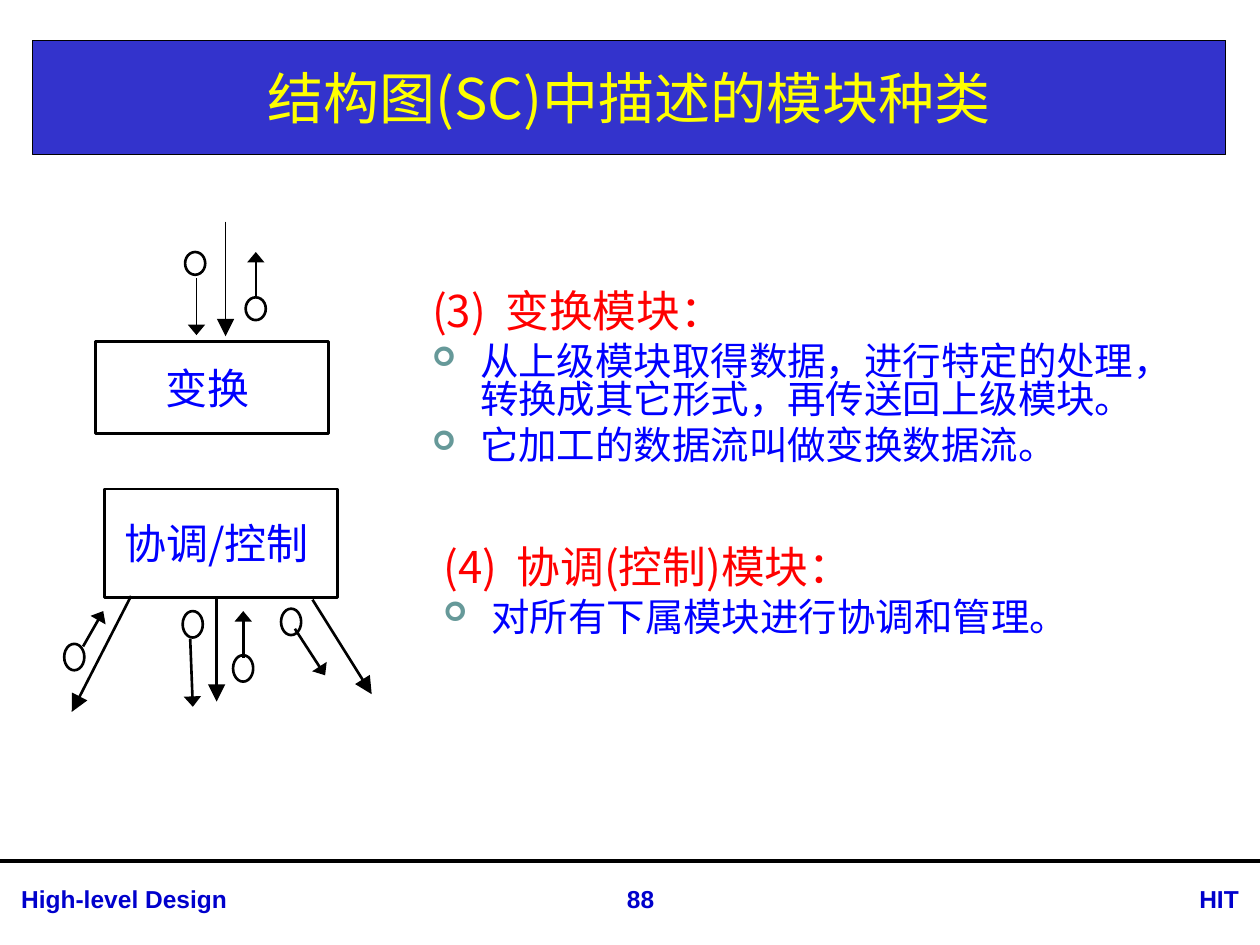
from lxml.etree import SubElement
from pptx import Presentation
from pptx.dml.color import RGBColor
from pptx.enum.shapes import MSO_CONNECTOR, MSO_SHAPE
from pptx.enum.text import MSO_ANCHOR, MSO_AUTO_SIZE, PP_ALIGN
from pptx.oxml.ns import qn
from pptx.util import Pt

CJK_FONT = "Noto Sans CJK SC"
BLACK, BLUE, RED, YELLOW = "000000", "0000FF", "FF0000", "FFFF00"
BAND_BLUE, FOOTER_BLUE, BULLET_GREEN = "3333CC", "0000CC", "669999"

TITLE = "结构图(SC)中描述的模块种类"
# Placeholder index, box, heading, bullets
LISTS = [
    (1, (212.4, 160.6, 458.6, 128.2), "(3)  变换模块：",
     ["从上级模块取得数据，进行特定的处理，转换成其它形式，再传送回上级模块。",
      "它加工的数据流叫做变换数据流。"]),
    (2, (218.9, 306.7, 473.8, 124.6), "(4)  协调(控制)模块：",
     ["对所有下属模块进行协调和管理。"]),
]
# Left, width, text, alignment
FOOTERS = [
    (5, 277.2, "High-level Design", PP_ALIGN.LEFT),
    (640.8, 74.2, "HIT", PP_ALIGN.RIGHT),
    (329, 74.2, "88", PP_ALIGN.CENTER),
]
# Each module: label, box, circle height, circle corners, call arrows and
# data arrows (from x, from y, to x, to y), width of the arrow lines
MODULES = [
    {"label": "变换 ", "box": (54.7, 195.1, 133.2, 52.6), "circle_height": 13,
     "circles": [(105.8, 144), (140.4, 169.9)],
     "calls": [(128.9, 126.7, 128.9, 192.2)],
     "data": [(146.2, 169.9, 146.2, 144), (112.3, 159.1, 112.3, 191.5)],
     "line_width": 1},
    {"label": "协调/控制 ", "box": (59.8, 279.4, 133.2, 61.9), "circle_height": 15.1,
     "circles": [(36.7, 367.9), (104.4, 349.2), (133.2, 374.4), (160.6, 347.8)],
     "calls": [(74.9, 340.6, 41, 406.8), (123.8, 340.6, 123.8, 401),
               (178.6, 342.7, 212.4, 396.7)],
     "data": [(47.5, 369.4, 59, 349.2), (108.7, 365, 110.2, 403.9),
              (139, 375.8, 139, 349.2), (168.5, 359.3, 185.8, 385.9)],
     "line_width": 1.5},
]
CIRCLE_WIDTH = 11.5


def color(hex_string):
    return RGBColor.from_string(hex_string)


def points(*values):
    return [Pt(value) for value in values]


def format_text(paragraph, size, hex_string, font_name=CJK_FONT, bold=False):
    for run in paragraph.runs:
        run.font.size = Pt(size)
        run.font.name = font_name
        run.font.bold = bold
        run.font.color.rgb = color(hex_string)
        if font_name == CJK_FONT:
            SubElement(run.font._element, qn("a:ea"), typeface=font_name)


def add_line(slide, ends, width, head_length=None):
    """Draw a black line, with a wide arrowhead if a head length is given."""
    line = slide.shapes.add_connector(MSO_CONNECTOR.STRAIGHT, *points(*ends))
    line.line.color.rgb = color(BLACK)
    line.line.width = Pt(width)
    if head_length:
        SubElement(line.line._get_or_add_ln(), qn("a:tailEnd"),
                   type="triangle", w="lg", len=head_length)
    SubElement(line._element.spPr, qn("a:effectLst"))


def add_outline(slide, kind, box):
    shape = slide.shapes.add_shape(kind, *points(*box))
    shape.shadow.inherit = False
    shape.fill.background()
    shape.line.color.rgb = color(BLACK)
    shape.line.width = Pt(1.5)
    return shape


def place(shape, box):
    shape.left, shape.top, shape.width, shape.height = points(*box)


def set_bullet(paragraph, character=None):
    """Set the hanging indent, with a bullet if a character is given."""
    properties = paragraph._p.get_or_add_pPr()
    properties.set("marL", str(Pt(54.7)))
    properties.set("indent", str(Pt(-27.4)))
    if character:
        bullet_color = SubElement(properties, qn("a:buClr"))
        SubElement(bullet_color, qn("a:srgbClr"), val=BULLET_GREEN)
        SubElement(properties, qn("a:buSzPct"), val="70000")
        SubElement(properties, qn("a:buFont"), typeface="Wingdings")
        SubElement(properties, qn("a:buChar"), char=character)
    else:
        SubElement(properties, qn("a:buNone"))


def fill_title(title):
    place(title, (18.7, 23, 681.8, 65.5))
    title.fill.solid()
    title.fill.fore_color.rgb = color(BAND_BLUE)
    title.line.color.rgb = color(BLACK)
    title.line.width = Pt(0.75)
    frame = title.text_frame
    frame.text = TITLE
    frame.auto_size = MSO_AUTO_SIZE.NONE
    frame.vertical_anchor = MSO_ANCHOR.MIDDLE
    frame.paragraphs[0].alignment = PP_ALIGN.CENTER
    format_text(frame.paragraphs[0], 32, YELLOW)


def fill_list(placeholder, box, heading, bullets):
    place(placeholder, box)
    frame = placeholder.text_frame
    frame.text = "\n".join([heading] + bullets)
    frame.auto_size = MSO_AUTO_SIZE.NONE
    frame.margin_top = Pt(7)
    for number, paragraph in enumerate(frame.paragraphs):
        paragraph.line_spacing = 0.82
        paragraph.space_before = Pt(5 if number else 0)
        set_bullet(paragraph, "➢" if number else None)
        format_text(paragraph, *((22, BLUE) if number else (25, RED)))


def add_module(slide, module):
    box = add_outline(slide, MSO_SHAPE.RECTANGLE, module["box"])
    frame = box.text_frame
    frame.text = module["label"]
    frame.word_wrap = False
    frame.vertical_anchor = MSO_ANCHOR.MIDDLE
    frame.paragraphs[0].alignment = PP_ALIGN.CENTER
    format_text(frame.paragraphs[0], 24, BLUE)
    for left, top in module["circles"]:
        add_outline(slide, MSO_SHAPE.OVAL,
                    (left, top, CIRCLE_WIDTH, module["circle_height"]))
    for ends in module["calls"]:
        add_line(slide, ends, module["line_width"], "lg")
    for ends in module["data"]:
        add_line(slide, ends, module["line_width"], "med")


def add_footer(slide, left, width, text, alignment):
    box = slide.shapes.add_textbox(*points(left, 501.8, width, 24.5))
    frame = box.text_frame
    frame.text = text
    frame.word_wrap = True
    frame.paragraphs[0].alignment = alignment
    format_text(frame.paragraphs[0], 14, FOOTER_BLUE, "Arial", bold=True)


def main():
    presentation = Presentation()
    presentation.slide_width, presentation.slide_height = points(720, 540)
    slide = presentation.slides.add_slide(presentation.slide_layouts[3])
    fill_title(slide.shapes.title)
    for index, box, heading, bullets in LISTS:
        fill_list(slide.placeholders[index], box, heading, bullets)
    for module in MODULES:
        add_module(slide, module)
    add_line(slide, (0, 491.8, 720, 491.8), 2.25)
    for footer in FOOTERS:
        add_footer(slide, *footer)
    presentation.save("out.pptx")


if __name__ == "__main__":
    main()
